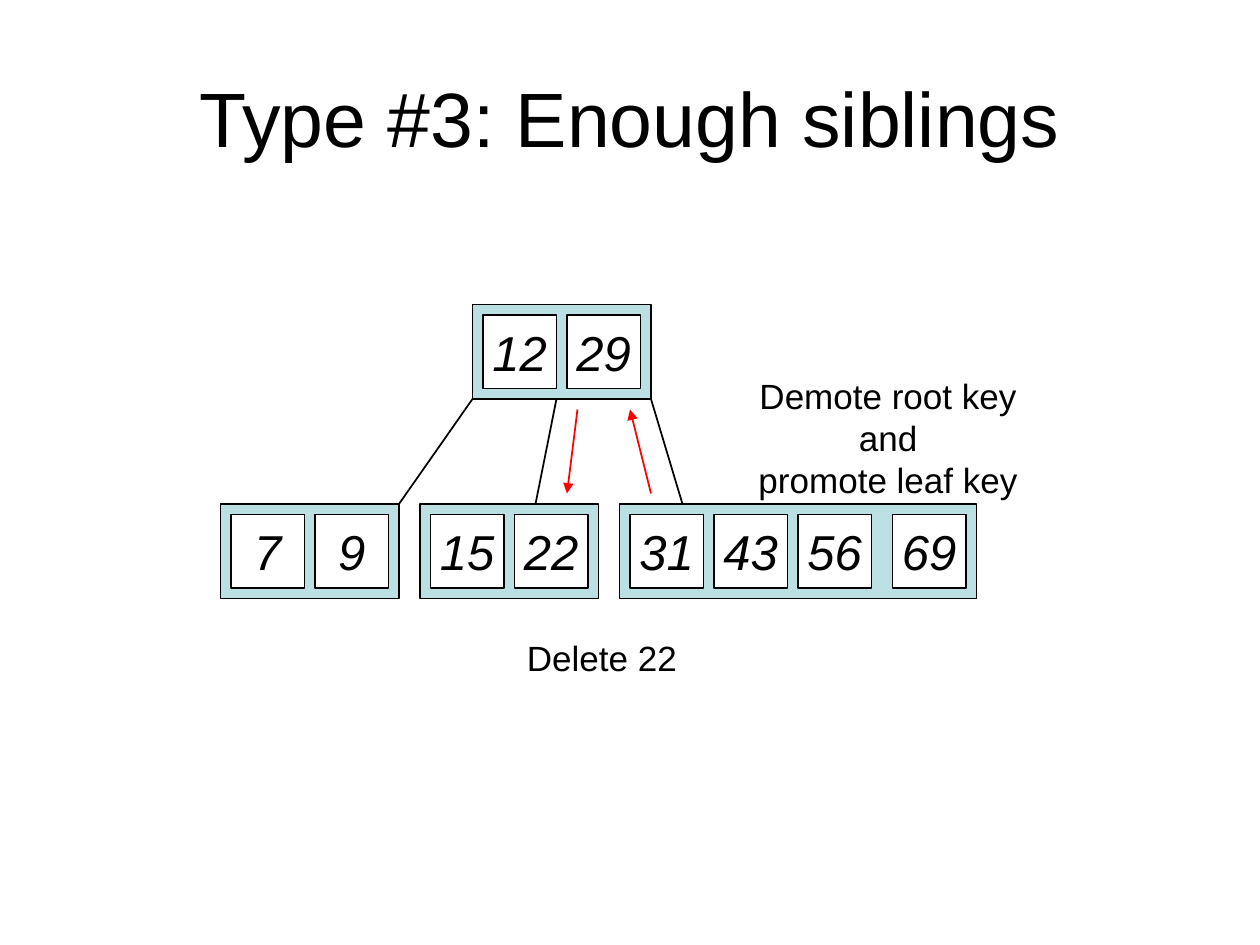
from lxml import etree
from pptx import Presentation
from pptx.dml.color import RGBColor
from pptx.enum import shapes as kinds, text as txt
from pptx.oxml.ns import qn
from pptx.util import Pt

COLORS = {"ink": "000000", "node": "BBE0E3", "key": "FFFFFF", "move": "FF0000"}
PAD, KEY, NODE_HEIGHT = 6, 42, 54
NODE_GAP = 12


def rgb(name):
    return RGBColor.from_string(COLORS[name])


def write(frame, lines, size, italic=False):
    frame.vertical_anchor = txt.MSO_ANCHOR.MIDDLE
    frame.text = "\n".join(lines)
    for paragraph in frame.paragraphs:
        paragraph.alignment = txt.PP_ALIGN.CENTER
        font = paragraph.font
        font.name, font.size, font.italic = "Arial", Pt(size), italic
        font.color.rgb = rgb("ink")


def add_label(parent, box, lines, size, wrap=False):
    frame = parent.add_textbox(*map(Pt, box)).text_frame
    frame.word_wrap = wrap
    if not wrap:
        frame.auto_size = txt.MSO_AUTO_SIZE.SHAPE_TO_FIT_TEXT
    write(frame, lines, size)


def add_box(parent, left, top, width, height, fill):
    box = parent.add_shape(kinds.MSO_SHAPE.RECTANGLE, *map(Pt, (left, top, width, height)))
    box.shadow.inherit = False
    box.fill.solid()
    box.fill.fore_color.rgb = rgb(fill)
    box.line.color.rgb = rgb("ink")
    box.line.width = Pt(1)
    return box


def add_node(parent, left, top, width, keys):
    """Keys run from the left; the last one sits against the right edge."""
    add_box(parent, left, top, width, NODE_HEIGHT, "node")
    for i, key in enumerate(keys):
        last = i == len(keys) - 1
        offset = width - PAD - KEY if last else PAD + i * (KEY + PAD)
        cell = add_box(parent, left + offset, top + PAD, KEY, KEY, "key")
        cell.text_frame.word_wrap = False
        write(cell.text_frame, [str(key)], 28, italic=True)


def add_line(parent, start, end, color, arrow=False):
    line = parent.add_connector(kinds.MSO_CONNECTOR.STRAIGHT, *map(Pt, (*start, *end)))
    line.line.color.rgb = rgb(color)
    line.line.width = Pt(1)
    if arrow:
        etree.SubElement(line.line._get_or_add_ln(), qn("a:tailEnd"), type="triangle")
    etree.SubElement(line._element.spPr, qn("a:effectLst"))


def add_tree(slide, left, top):
    tree = slide.shapes.add_group_shape().shapes
    leaf_top = top + 114
    add_node(tree, left + 144, top, 102, [12, 29])
    leaf_left = left
    for width, keys in [(102, [7, 9]), (102, [15, 22]), (204, [31, 43, 56, 69])]:
        add_node(tree, leaf_left, leaf_top, width, keys)
        leaf_left += width + NODE_GAP
    for root_x, leaf_x in [(144, 102), (192, 180), (246, 264)]:
        add_line(tree, (left + root_x, top + NODE_HEIGHT), (left + leaf_x, leaf_top), "ink")


def add_key_moves(slide, left, top):
    """Arrows for the promoted and demoted keys, with their explanation."""
    moves = slide.shapes.add_group_shape().shapes
    low = top + 48
    add_line(moves, (left + 48, low), (left + 36, top), "move", arrow=True)
    add_line(moves, (left + 6, top), (left, low), "move", arrow=True)
    add_label(moves, (left + 83.5, top - 12, 200, 55.5),
              ["Demote root key and", "promote leaf key"], 20)


def main():
    deck = Presentation()
    deck.slide_width, deck.slide_height = Pt(720), Pt(540)
    slide = deck.slides.add_slide(deck.slide_layouts[6])
    add_label(slide.shapes, (36, 21.6, 648, 90), ["Type #3: Enough siblings"], 44, wrap=True)
    add_tree(slide, 126, 174)
    add_label(slide.shapes, (294, 360, 100, 31.5), ["Delete 22"], 20)
    add_key_moves(slide, 324, 234)
    deck.save("out.pptx")


if __name__ == "__main__":
    main()
